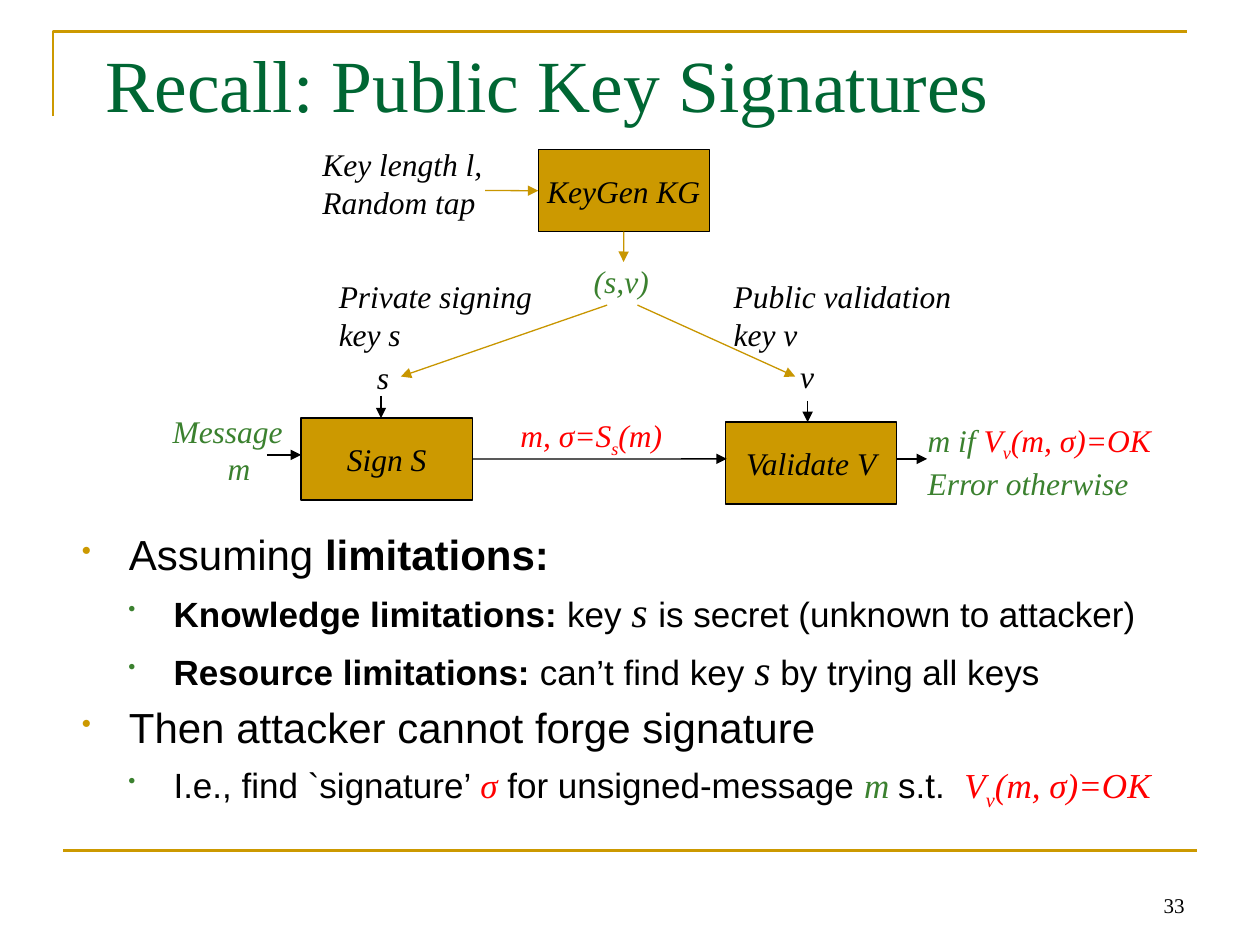
from pptx import Presentation
from pptx.dml.color import RGBColor
from pptx.enum.shapes import MSO_CONNECTOR as Link, MSO_SHAPE as Kind
from pptx.enum.text import MSO_ANCHOR as Anchor, MSO_AUTO_SIZE as Fit, PP_ALIGN as Align
from pptx.oxml.ns import qn
from pptx.util import Cm, Pt
from lxml.etree import SubElement as Sub

GOLD, ARROW, GREEN, DARK = "CC9900", "C89600", "3B812F", "006633"
RED, BLACK = "FF0000", "000000"
SERIF, SANS = "Times New Roman", "Arial"


def color(code):
    return RGBColor.from_string(code)


def math(size=18, ink=BLACK, **more):
    return dict(name=SERIF, size=Pt(size), italic=True, ink=ink, **more)


def plain(size, **more):
    return dict(name=SANS, size=Pt(size), ink=BLACK, **more)


def sub(size=18):
    return math(size, RED, base=-25000)


class Page:
    """Holds the drawing style and the current slide."""
    tight = dict(margin_left=Cm(0.18), margin_right=Cm(0.18),
                 margin_top=Cm(0.1), margin_bottom=Cm(0.1), word_wrap=False)

    def __init__(self, slide):
        self.slide = slide
        self.shapes = slide.shapes

    def add_runs(self, para, runs):
        for text, style in runs:
            run = para.add_run()
            run.text = text
            for key, val in style.items():
                if key == "ink":
                    run.font.color.rgb = color(val)
                elif key == "base":
                    run.font._element.set("baseline", str(val))
                else:
                    setattr(run.font, key, val)

    def fill(self, frame, paras, form, align=None):
        for key, val in form.items():
            setattr(frame, key, val)
        for i, runs in enumerate(paras):
            para = frame.add_paragraph() if i else frame.paragraphs[0]
            if align is not None:
                para.alignment = align
            self.add_runs(para, runs)

    def text(self, place, paras, align=None, **form):
        box = self.shapes.add_textbox(*map(Cm, place))
        self.fill(box.text_frame, paras, {"word_wrap": True, **form}, align)
        return box.text_frame

    def label(self, place, *paras):
        return self.text(place, paras, **self.tight, auto_size=Fit.SHAPE_TO_FIT_TEXT)

    def block(self, left, top, name):
        box = self.shapes.add_shape(Kind.RECTANGLE, Cm(left), Cm(top), Cm(3.45), Cm(1.65))
        box.shadow.inherit = False
        box.fill.solid()
        box.fill.fore_color.rgb = color(GOLD)
        box.line.color.rgb = color(BLACK)
        box.line.width = Pt(0.75)
        form = dict(self.tight, vertical_anchor=Anchor.MIDDLE)
        self.fill(box.text_frame, [[(name, math())]], form, Align.CENTER)
        return box

    def line(self, ends, ink=BLACK, width=0.75, head=True, start=None, stop=None):
        link = self.shapes.add_connector(Link.STRAIGHT, *map(Cm, ends))
        if start:
            link.begin_connect(*start)
        if stop:
            link.end_connect(*stop)
        link.line.color.rgb = color(ink)
        link.line.width = Pt(width)
        if head:
            Sub(link.line._get_or_add_ln(), qn("a:tailEnd"), type="triangle")
        Sub(link._element.spPr, qn("a:effectLst"))

    def corner(self, first, *rest):
        pen = self.shapes.build_freeform(*map(Cm, first))
        pen.add_line_segments([tuple(map(Cm, spot)) for spot in rest], close=False)
        edge = pen.convert_to_shape()
        edge.shadow.inherit = False
        edge.fill.background()
        edge.line.color.rgb = color(GOLD)
        edge.line.width = Pt(1.5)

    def bullets(self, place, items):
        looks = [(0.95, 0.95, GOLD, 65), (1.85, 0.91, GREEN, 60)]
        frame = self.text(place, [runs for _, runs in items])
        for i, (para, (level, _)) in enumerate(zip(frame.paragraphs, items)):
            left, hang, ink, size = looks[level]
            para.level = level
            para.line_spacing = 0.9
            para.space_before = Pt(7 if i else 0)
            prop = para._p.get_or_add_pPr()
            prop.set("marL", str(Cm(left)))
            prop.set("indent", str(-Cm(hang)))
            Sub(Sub(prop, qn("a:buClr")), qn("a:srgbClr"), val=ink)
            Sub(prop, qn("a:buSzPct"), val=str(size * 1000))
            Sub(prop, qn("a:buChar"), char="•")


def main():
    deck = Presentation()
    deck.slide_width, deck.slide_height = Cm(25.4), Cm(19.05)
    page = Page(deck.slides.add_slide(deck.slide_layouts[6]))

    # Frame, page number and title
    page.corner((1.07, 2.34), (1.07, 0.64), (23.93, 0.64))
    page.line((1.27, 17.15, 24.13, 17.15), GOLD, 1.5, head=False)
    page.text((18.21, 17.35, 5.92, 1.27),
              [[("33", dict(name=SERIF, size=Pt(12), ink=BLACK))]],
              Align.RIGHT, vertical_anchor=Anchor.BOTTOM)
    page.text((1.88, 0.66, 21.59, 1.93),
              [[("Recall: Public Key Signatures", dict(name=SERIF, size=Pt(42), ink=DARK))]])

    # Bullets
    bold, body = plain(20, bold=True), plain(20)
    page.bullets((1.4, 10.64, 22.38, 4.37), [
        (0, [("Assuming ", plain(24)), ("limitations:", plain(24, bold=True))]),
        (1, [("Knowledge limitations: ", bold), ("key ", body), ("s ", math(24)),
             ("is secret (unknown to attacker)", body)]),
        (1, [("Resource limitations: ", bold), ("can’t find key ", body), ("s", math(24)),
             (" by trying all keys", body)]),
        (0, [("Then attacker cannot forge signature", plain(24))]),
        (1, [("I.e., find `signature’ ", body), ("σ", math(20, RED)),
             (" for unsigned-message ", body), ("m ", math(20, GREEN)), ("s.t.  ", body),
             ("V", math(20, RED)), ("v", sub(20)), ("(m, σ)=OK", math(20, RED))]),
    ])

    # Blocks
    sign = page.block(6.07, 8.43, "Sign S")
    page.block(14.63, 8.51, "Validate V")
    keygen = page.block(10.85, 3.02, "KeyGen KG")

    # Arrows
    page.line((5.38, 9.17, 6.07, 9.17))
    page.line((18.08, 9.25, 18.69, 9.25))
    page.line((16.28, 8.08, 16.28, 8.51))
    page.line((7.68, 7.98, 7.68, 8.43))
    page.line((9.52, 9.25, 14.65, 9.25), start=(sign, 3))
    page.line((9.78, 3.84, 10.85, 3.84), ARROW, stop=(keygen, 1))
    page.line((12.57, 4.67, 12.57, 5.28), ARROW, start=(keygen, 2))
    page.line((12.24, 6.15, 8.08, 7.59), ARROW)
    page.line((12.85, 6.15, 16.03, 7.59), ARROW)

    # Labels
    red, green, black = math(ink=RED), math(ink=GREEN), math()
    note = page.label((3.3, 8.2, 2.62, 1.73), [("Message", green)], [("m", green)])
    note.paragraphs[1]._p.get_or_add_pPr().set("marL", str(Cm(1.11)))
    page.label((18.52, 8.38, 4.95, 1.73),
               [("m if ", green), ("V", red), ("v", sub()), ("(m, σ)=OK", red)],
               [("Error otherwise", green)])
    page.label((10.31, 8.28, 3.28, 0.97), [("m, σ=S", red), ("s", sub()), ("(m)", red)])
    page.label((11.79, 5.18, 1.5, 0.97), [("(s,v)", green)])
    for place, lines in [
        ((6.65, 5.49, 4.32, 1.73), ["Private signing", "key s"]),
        ((14.61, 5.49, 4.83, 1.73), ["Public validation", "key v"]),
        ((6.32, 2.82, 3.81, 1.73), ["Key length l,", "Random tap"]),
        ((7.42, 7.11, 0.64, 0.97), ["s"]),
        ((15.95, 7.09, 0.66, 0.97), ["v"]),
    ]:
        page.label(place, *[[(words, black)] for words in lines])

    deck.save("out.pptx")


if __name__ == "__main__":
    main()
